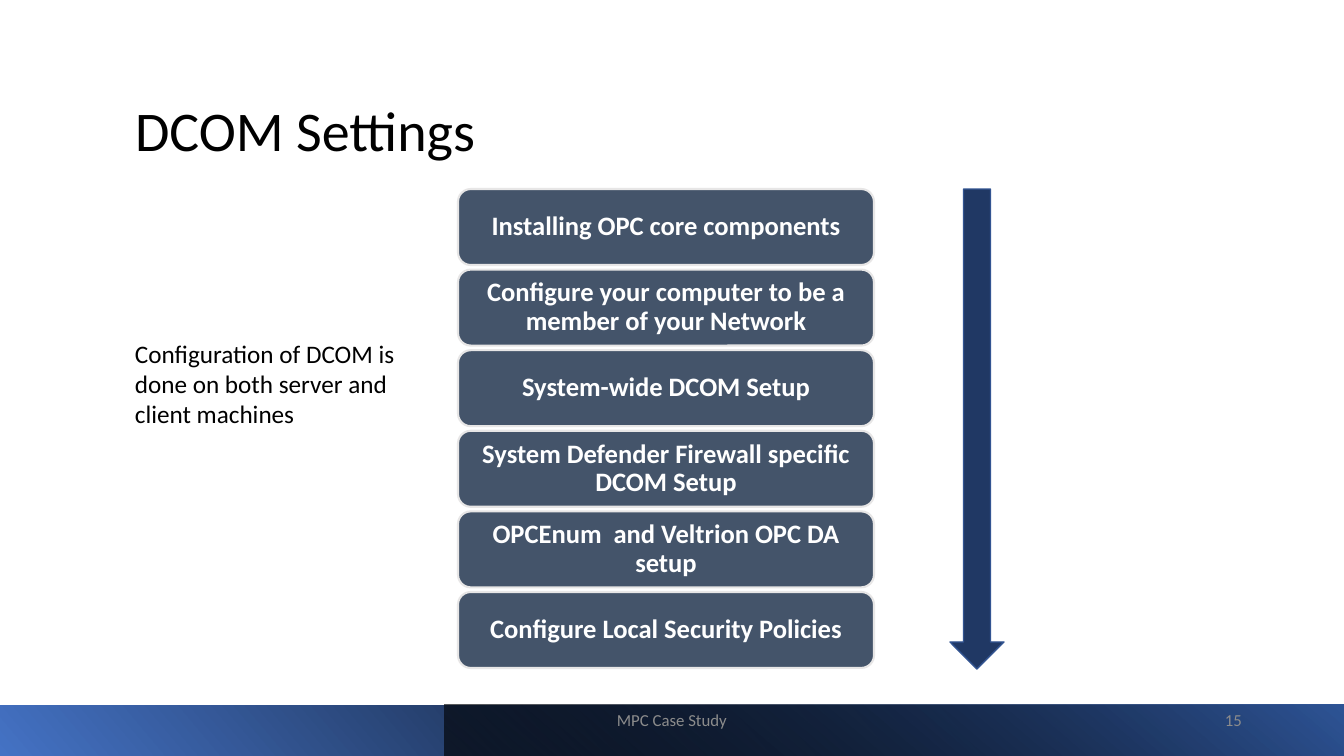
from lxml import etree
from pptx import Presentation
from pptx import util as u
from pptx.dml.color import RGBColor
from pptx.enum import shapes, text
from pptx.oxml import ns

PX = 914400 / 100.8
FONT = "Calibri"
COLORS = {
    "ink": "000000", "white": "FFFFFF", "muted": "8C8C8C",
    "step": "44546A", "step_line": "E7E6E6",
    "arrow": "203864", "arrow_line": "325491",
    "bar_blue": "4472C4", "bar_navy": "2F5597",
}
STEPS = [
    "Installing OPC core components",
    "Configure your computer to be a member of your Network",
    "System-wide DCOM Setup",
    "System Defender Firewall specific DCOM Setup",
    "OPCEnum  and Veltrion OPC DA setup",
    "Configure Local Security Policies",
]


def px(*lengths):
    """Turn pixel lengths into EMU."""
    return [u.Emu(round(length * PX)) for length in lengths]


def color(name):
    """Look up a named colour."""
    return RGBColor.from_string(COLORS[name])


def write(shape, words, size, ink, align="LEFT", anchor="MIDDLE", bold=False, spacing=1.0):
    """Put one formatted paragraph into a shape."""
    frame = shape.text_frame
    frame.word_wrap = True
    frame.auto_size = text.MSO_AUTO_SIZE.NONE
    frame.vertical_anchor = text.MSO_ANCHOR[anchor]
    frame.text = words
    para = frame.paragraphs[0]
    para.alignment = text.PP_ALIGN[align]
    para.line_spacing = spacing
    para.font.name, para.font.size, para.font.bold = FONT, u.Pt(size), bold
    para.font.color.rgb = color(ink)


def add_label(page, box, words, size, ink, **style):
    """Add a text box."""
    write(page.shapes.add_textbox(*px(*box)), words, size, ink, **style)


def add_block(page, kind, box, fill, line, weight):
    """Add a filled and outlined preset shape."""
    block = page.shapes.add_shape(shapes.MSO_SHAPE[kind], *px(*box))
    block.shadow.inherit = False
    block.fill.solid()
    block.fill.fore_color.rgb = color(fill)
    block.line.color.rgb = color(line)
    block.line.width = u.Pt(weight)
    return block


def add_gradient_bar(page, box, stops, angle, rotation=0):
    """Add a mirrored bar with a linear gradient of (position, colour, opacity) stops."""
    bar = page.shapes.add_shape(shapes.MSO_SHAPE.RECTANGLE, *px(*box))
    bar.shadow.inherit = False
    bar.line.fill.background()
    bar.rotation = rotation
    properties = bar.element.spPr
    properties.find(ns.qn("a:xfrm")).set("flipH", "1")
    gradient = etree.Element(ns.qn("a:gradFill"), rotWithShape="1")
    stop_list = etree.SubElement(gradient, ns.qn("a:gsLst"))
    for position, name, opacity in stops:
        stop = etree.SubElement(stop_list, ns.qn("a:gs"), pos=str(position * 1000))
        shade = etree.SubElement(stop, ns.qn("a:srgbClr"), val=COLORS[name])
        if opacity < 100:
            etree.SubElement(shade, ns.qn("a:alpha"), val=str(opacity * 1000))
    etree.SubElement(gradient, ns.qn("a:lin"), ang=str(angle * 60000), scaled="0")
    properties.find(ns.qn("a:prstGeom")).addnext(gradient)


def add_title(page, box, words):
    """Place and format the title placeholder."""
    title = page.shapes.title
    title.left, title.top, title.width, title.height = px(*box)
    write(title, words, 40, "ink", anchor="BOTTOM", spacing=0.9)


def add_footer(page, box, words, number):
    """Draw the gradient band with its footer text and page number."""
    left, top, width, height = box
    split = left + 445
    add_gradient_bar(page, box, [(0, "bar_blue", 100), (78, "ink", 100)], 40, 180)
    add_gradient_bar(page, (split, top, width - 445, height),
                     [(0, "ink", 63), (100, "bar_navy", 100)], 230)
    add_label(page, (left + 950, top - 5, 302, 40), number, 12, "muted", align="RIGHT")
    add_label(page, (split, top - 5, 454, 40), words, 12, "muted", align="CENTER")


def add_steps(page, box, steps):
    """Stack equal step boxes over the height of the box."""
    left, top, width, height = box
    step_height = 76
    pitch = (height - step_height) / (len(steps) - 1)
    for index, words in enumerate(steps):
        step = add_block(page, "ROUNDED_RECTANGLE",
                         (left, top + index * pitch, width, step_height),
                         "step", "step_line", 1.5)
        write(step, words, 19, "white", align="CENTER", bold=True, spacing=0.9)
        frame = step.text_frame
        frame.margin_left, frame.margin_right = px(8, 8)
        frame.margin_top, frame.margin_bottom = px(4, 4)


def main():
    """Build and save the deck."""
    deck = Presentation()
    deck.slide_width, deck.slide_height = px(1344, 756)
    page = deck.slides.add_slide(deck.slide_layouts[5])
    add_title(page, (125, 55, 1068, 114), "DCOM Settings")
    add_footer(page, (0, 705, 1344, 51), "MPC Case Study", "15")
    add_steps(page, (458, 189, 416, 479), STEPS)
    add_block(page, "DOWN_ARROW", (950, 189, 54, 480), "arrow", "arrow_line", 1)
    add_label(page, (125, 333, 302, 102),
              "Configuration of DCOM is done on both server and client machines",
              18, "ink", anchor="TOP")
    deck.save("out.pptx")


if __name__ == "__main__":
    main()
